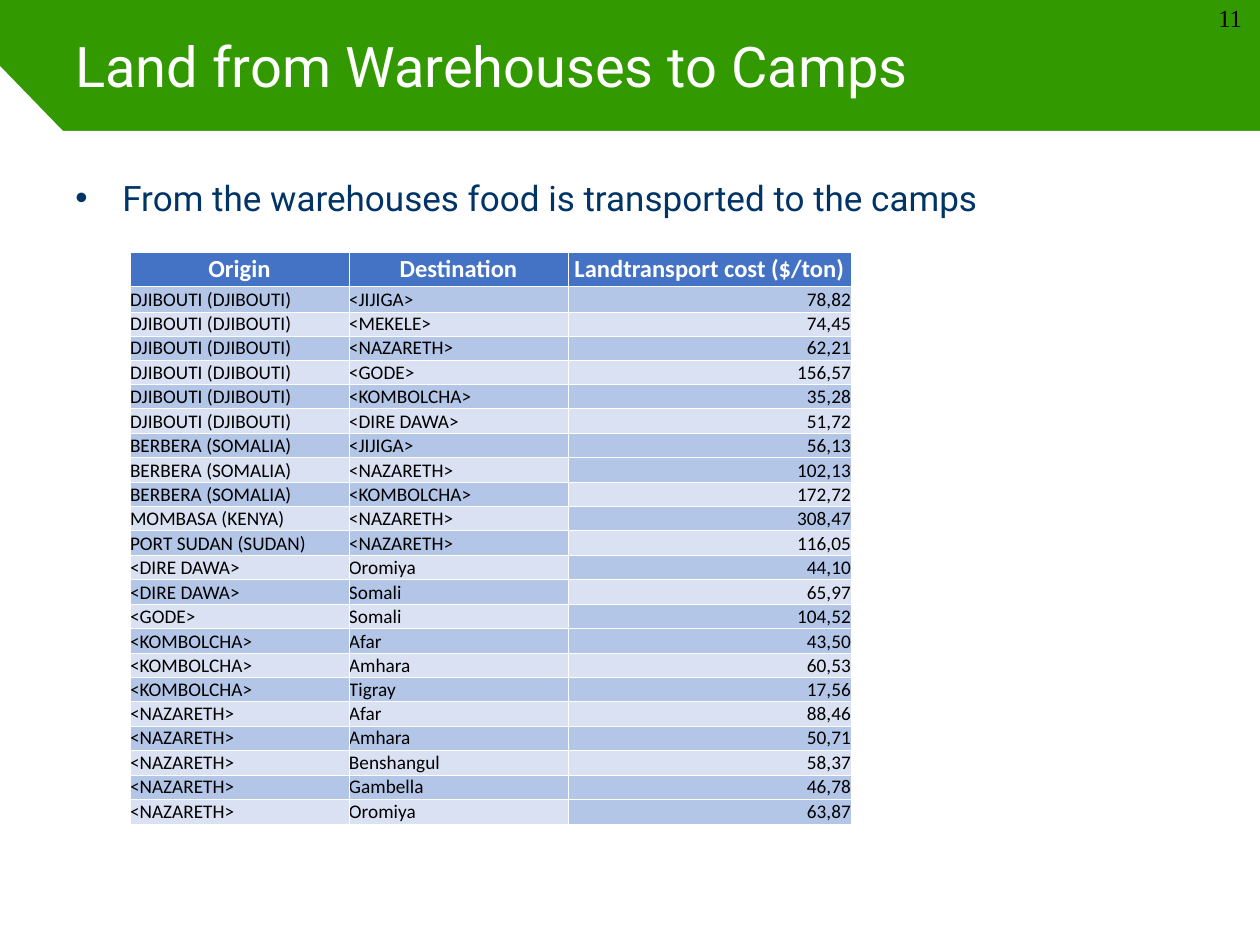
from lxml import etree
from pptx import Presentation
from pptx import util as u
from pptx.dml.color import RGBColor
from pptx.enum import text
from pptx.oxml.ns import qn

PX = 914400 // 126  # EMU per pixel
WIDTH, HEIGHT = 1260, 945

GREEN, WHITE, BLACK, NAVY = "339900", "FFFFFF", "000000", "003366"
HEADER_BLUE, DARK_BAND, LIGHT_BAND = "4472C4", "B4C6E7", "D9E1F2"
LEFT, CENTER, RIGHT = (text.PP_ALIGN.LEFT, text.PP_ALIGN.CENTER,
                       text.PP_ALIGN.RIGHT)
TOP, MIDDLE, BOTTOM = (text.MSO_ANCHOR.TOP, text.MSO_ANCHOR.MIDDLE,
                       text.MSO_ANCHOR.BOTTOM)

HEADERS = ["Origin", "Destination", "Landtransport cost ($/ton)"]
ROUTES = [
    ("DJIBOUTI (DJIBOUTI)", "<JIJIGA>", "78,82"),
    ("DJIBOUTI (DJIBOUTI)", "<MEKELE>", "74,45"),
    ("DJIBOUTI (DJIBOUTI)", "<NAZARETH>", "62,21"),
    ("DJIBOUTI (DJIBOUTI)", "<GODE>", "156,57"),
    ("DJIBOUTI (DJIBOUTI)", "<KOMBOLCHA>", "35,28"),
    ("DJIBOUTI (DJIBOUTI)", "<DIRE DAWA>", "51,72"),
    ("BERBERA (SOMALIA)", "<JIJIGA>", "56,13"),
    ("BERBERA (SOMALIA)", "<NAZARETH>", "102,13"),
    ("BERBERA (SOMALIA)", "<KOMBOLCHA>", "172,72"),
    ("MOMBASA (KENYA)", "<NAZARETH>", "308,47"),
    ("PORT SUDAN (SUDAN)", "<NAZARETH>", "116,05"),
    ("<DIRE DAWA>", "Oromiya", "44,10"),
    ("<DIRE DAWA>", "Somali", "65,97"),
    ("<GODE>", "Somali", "104,52"),
    ("<KOMBOLCHA>", "Afar", "43,50"),
    ("<KOMBOLCHA>", "Amhara", "60,53"),
    ("<KOMBOLCHA>", "Tigray", "17,56"),
    ("<NAZARETH>", "Afar", "88,46"),
    ("<NAZARETH>", "Amhara", "50,71"),
    ("<NAZARETH>", "Benshangul", "58,37"),
    ("<NAZARETH>", "Gambella", "46,78"),
    ("<NAZARETH>", "Oromiya", "63,87"),
]
# The cost column breaks the even-row banding of the other two
LIGHT_COST_ROWS = {2, 4, 6, 9, 11, 13, 16, 18, 20}


def px(n):
    return u.Emu(n * PX)


def color(value):
    return RGBColor.from_string(value)


def add_run(p, words, size, font, fill, bold=False):
    r = p.add_run()
    r.text = words
    r.font.size = u.Pt(size)
    r.font.name = font
    r.font.bold = bold
    r.font.color.rgb = color(fill)


def add_text(s, box, words, size, font, fill, anchor=TOP, wrap=True):
    """Add a one-paragraph text box and return its paragraph."""
    tf = s.shapes.add_textbox(*map(px, box)).text_frame
    tf.word_wrap = wrap
    tf.vertical_anchor = anchor
    p = tf.paragraphs[0]
    add_run(p, words, size, font, fill)
    return p


def set_bullet(p, indent):
    pPr = p._p.get_or_add_pPr()
    pPr.set("marL", str(px(indent)))
    pPr.set("indent", str(px(-indent)))
    etree.SubElement(pPr, qn("a:buFont")).set("typeface", "Arial")
    etree.SubElement(pPr, qn("a:buChar")).set("char", "•")


def add_panel(s):
    """White content area whose top left corner is cut off."""
    fb = s.shapes.build_freeform(63, 131, scale=PX)
    fb.add_line_segments([(0, 66), (0, HEIGHT), (WIDTH, HEIGHT), (WIDTH, 131)])
    sp = fb.convert_to_shape()
    sp.shadow.inherit = False
    sp.fill.solid()
    sp.fill.fore_color.rgb = color(WHITE)
    sp.line.fill.background()


def set_borders(cell):
    tcPr = cell._tc.get_or_add_tcPr()
    for i, side in enumerate(("lnL", "lnR", "lnT", "lnB")):
        ln = etree.Element(qn("a:" + side), w=str(u.Pt(0.5)))
        fill = etree.SubElement(ln, qn("a:solidFill"))
        etree.SubElement(fill, qn("a:srgbClr")).set("val", WHITE)
        tcPr.insert(i, ln)


def fill_cell(cell, words, fill, align, anchor, size, font_color, bold):
    cell.margin_left = cell.margin_right = 0
    cell.margin_top = cell.margin_bottom = 0
    cell.vertical_anchor = anchor
    cell.fill.solid()
    cell.fill.fore_color.rgb = color(fill)
    set_borders(cell)
    p = cell.text_frame.paragraphs[0]
    p.alignment = align
    add_run(p, words, size, "Calibri", font_color, bold)


def add_cost_table(s):
    widths = [219, 219, 283]
    # Header, first route, then the other routes share the rest evenly
    rest, n = 513, len(ROUTES) - 1
    heights = [34, 26] + [(k + 1) * rest // n - k * rest // n
                          for k in range(n)]
    table = s.shapes.add_table(len(heights), len(widths), px(130), px(252),
                               px(sum(widths)), px(sum(heights))).table
    table.horz_banding = False
    for column, width in zip(table.columns, widths):
        column.width = px(width)
    for row, height in zip(table.rows, heights):
        row.height = px(height)

    for c, words in enumerate(HEADERS):
        fill_cell(table.cell(0, c), words, HEADER_BLUE, CENTER, MIDDLE,
                  14, WHITE, True)
    for i, route in enumerate(ROUTES, 1):
        for c, words in enumerate(route):
            is_cost = c == 2
            light = i in LIGHT_COST_ROWS if is_cost else i % 2 == 0
            fill_cell(table.cell(i, c), words,
                      LIGHT_BAND if light else DARK_BAND,
                      RIGHT if is_cost else LEFT, BOTTOM, 11, BLACK, False)


def main():
    prs = Presentation()
    prs.slide_width, prs.slide_height = px(WIDTH), px(HEIGHT)
    s = prs.slides.add_slide(prs.slide_layouts[6])

    # Green header band with the white content area below
    s.background.fill.solid()
    s.background.fill.fore_color.rgb = color(GREEN)
    add_panel(s)

    # Slide number, title and bullet
    number = add_text(s, (1206, 0, 54, 39), "11", 14, "Times New Roman",
                      BLACK, wrap=False)
    number.line_spacing = 0.9
    add_text(s, (63, 0, 1134, 131), "Land from Warehouses to Camps",
             32, "Roboto", WHITE, MIDDLE)
    bullet = add_text(s, (63, 170, 1134, 645),
                      "From the warehouses food is transported to the camps",
                      20, "Roboto", NAVY)
    set_bullet(bullet, 47)

    # Transport costs
    add_cost_table(s)
    prs.save("out.pptx")


if __name__ == "__main__":
    main()
